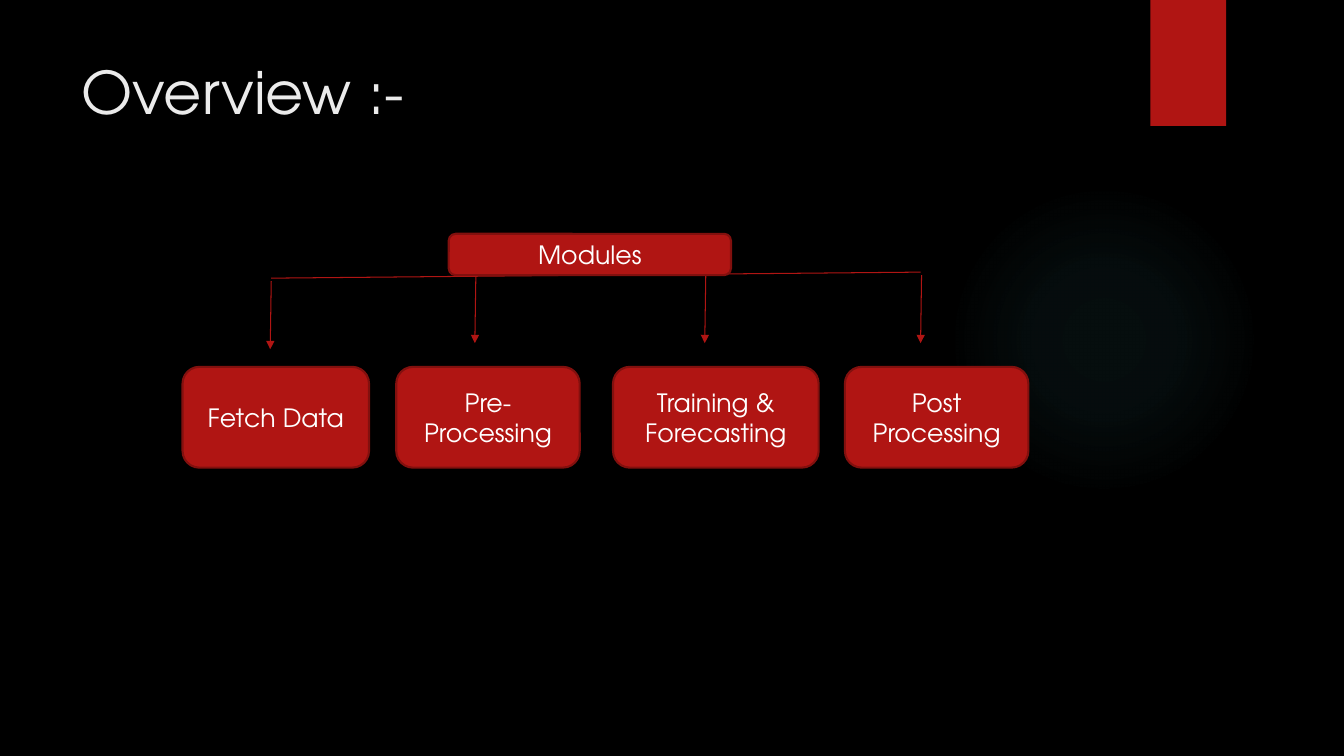
"""Build the Overview slide with its module tree."""
import pptx
import pptx.dml.color
import pptx.enum.shapes
import pptx.enum.text
import pptx.oxml
import pptx.oxml.ns
import pptx.util
from lxml import etree

RGB = pptx.dml.color.RGBColor
SHAPE = pptx.enum.shapes.MSO_SHAPE
ANCHOR = pptx.enum.text.MSO_ANCHOR
ALIGN = pptx.enum.text.PP_ALIGN
BLACK = RGB(0x00, 0x00, 0x00)
RED = RGB(0xB0, 0x15, 0x13)
DARK_RED = RGB(0x82, 0x10, 0x0E)
WHITE = RGB(0xFF, 0xFF, 0xFF)
PALE = RGB(0xEB, 0xEB, 0xEB)
GLOW = RGB(0x50, 0xB9, 0xC1)
FONT = "TeX Gyre Adventor"

CARDS = [
    ("Fetch Data", 0, 22.05),
    ("Pre-Processing", 25.27, 21.69),
    ("Training & Forecasting", 50.89, 24.31),
    ("Post Processing", 78.31, 21.69),
]
ARROWS = [(10.49, 20.26), (34.68, 17.67), (61.86, 17.67), (87.37, 17.67)]


def within(box, x, y, w=0, h=0):
    """Return the part of a box given in percent of its width and height."""
    left, top, width, height = box
    return (int(left + width * x / 100), int(top + height * y / 100),
            int(width * w / 100), int(height * h / 100))


def write(sp, text, size, color):
    """Put one styled paragraph in a shape and return it."""
    tf = sp.text_frame
    tf.word_wrap = True
    p = tf.paragraphs[0]
    p.text = text
    font = p.runs[0].font
    font.name, font.size = FONT, pptx.util.Pt(size)
    font.color.rgb = color
    return p


def add_block(slide, kind, box, fill=RED, line=None):
    """Add a flat shape with an optional outline."""
    sp = slide.shapes.add_shape(kind, *box)
    sp.shadow.inherit = False
    sp.fill.solid()
    sp.fill.fore_color.rgb = fill
    if line is None:
        sp.line.fill.background()
    else:
        sp.line.color.rgb = line
        sp.line.width = pptx.util.Pt(1.5)
    return sp


def add_card(slide, box, text):
    """Add a rounded red card with a centred label."""
    sp = add_block(slide, SHAPE.ROUNDED_RECTANGLE, box, line=DARK_RED)
    sp.text_frame.vertical_anchor = ANCHOR.MIDDLE
    write(sp, text, 18, WHITE).alignment = ALIGN.CENTER


def add_line(slide, start, end, arrow=False):
    """Add a thin red line, with an arrowhead at its end if wanted."""
    kind = pptx.enum.shapes.MSO_CONNECTOR.STRAIGHT
    cx = slide.shapes.add_connector(kind, *start[:2], *end[:2])
    cx.line.color.rgb = RED
    cx.line.width = pptx.util.Pt(0.75)
    qn = pptx.oxml.ns.qn
    if arrow:
        etree.SubElement(cx.line._get_or_add_ln(), qn("a:tailEnd"), type="triangle")
    etree.SubElement(cx._element.spPr, qn("a:effectLst"))


def add_glow(slide, box):
    """Add a faint round glow that fades to its rim."""
    sp = add_block(slide, SHAPE.OVAL, box, fill=GLOW)
    stops = "".join(
        f'<a:gs pos="{pos}000"><a:srgbClr val="{GLOW}">'
        f'<a:alpha val="{alpha}000"/></a:srgbClr></a:gs>'
        for pos, alpha in [(0, 7), (36, 6), (69, 0)])
    grad = pptx.oxml.parse_xml(
        f'<a:gradFill {pptx.oxml.ns.nsdecls("a")}><a:gsLst>{stops}</a:gsLst>'
        '<a:path path="circle"><a:fillToRect l="50000" t="50000" r="50000" b="50000"/>'
        '</a:path></a:gradFill>')
    spPr = sp._element.spPr
    spPr.replace(spPr.find(pptx.oxml.ns.qn("a:solidFill")), grad)


def add_backdrop(slide, box):
    """Set the black background with its glow and red tab."""
    slide.background.fill.solid()
    slide.background.fill.fore_color.rgb = BLACK
    add_glow(slide, within(box, 70.59, 24.4, 23.11, 41.07))
    add_block(slide, SHAPE.RECTANGLE, within(box, 85.6, 0, 5.63, 16.67))


def add_title(slide, box, text):
    """Add the slide title."""
    write(slide.shapes.add_textbox(*box), text, 42, PALE)


def add_tree(slide, box):
    """Add the root card, its branches and the four module cards."""
    add_line(slide, within(box, 10.49, 18.97), within(box, 87.25, 16.38))
    for x, y in ARROWS:
        add_line(slide, within(box, x, y), within(box, x - 0.12, y + 29.1), arrow=True)
    for text, x, w in CARDS:
        add_card(slide, within(box, x, 56.9, w, 43.1), text)
    add_card(slide, within(box, 31.47, 0, 33.37, 17.67), "Modules")


def main():
    """Build and save the presentation."""
    prs = pptx.Presentation()
    prs.slide_width = pptx.util.Inches(13.33)
    prs.slide_height = pptx.util.Inches(7.5)
    slide = prs.slides.add_slide(prs.slide_layouts[6])
    page = (0, 0, prs.slide_width, prs.slide_height)
    add_backdrop(slide, page)
    add_title(slide, within(page, 5.33, 6.67, 77.19, 20.4), "Overview :-")
    add_tree(slide, within(page, 13.58, 30.93, 62.94, 30.93))
    prs.save("out.pptx")


if __name__ == "__main__":
    main()
